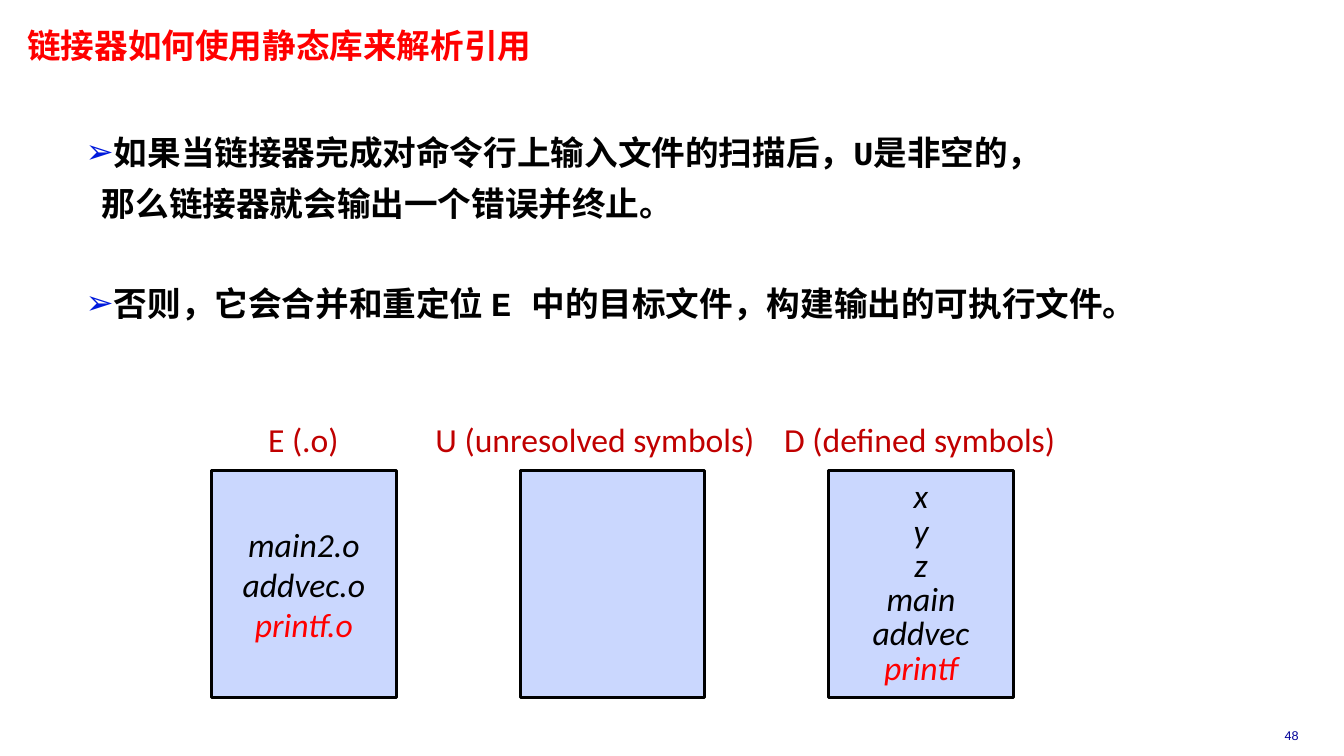
from lxml.etree import SubElement
from pptx import Presentation
from pptx.dml.color import RGBColor
from pptx.enum.shapes import MSO_SHAPE as Shape
from pptx.enum.text import MSO_ANCHOR as Anchor, MSO_AUTO_SIZE as AutoSize, PP_ALIGN as Align
from pptx.oxml.ns import qn
from pptx.util import Inches, Pt

RED = RGBColor(0xFF, 0x00, 0x00)
DARK_RED = RGBColor(0xC0, 0x00, 0x00)
BLACK = RGBColor(0x00, 0x00, 0x00)
NAVY = RGBColor(0x00, 0x00, 0x99)
PALE_BLUE = RGBColor(0xCA, 0xD7, 0xFE)
BULLET_BLUE = RGBColor(0x00, 0x1A, 0xDC)
CJK_FONT = "Noto Sans CJK SC"

TITLE = {"name": CJK_FONT, "size": Pt(24), "bold": True}
BODY = {"name": "Courier New", "size": Pt(24), "bold": True}
LABEL = {"name": "Calibri", "size": Pt(24)}
SYMBOL = {**LABEL, "italic": True}
NUMBER = {"name": "Arial", "size": Pt(9)}

COLUMN_PITCH = 3.06
SET_WIDTH, SET_HEIGHT = 1.83, 2.25
LABEL_HEIGHT = 0.44
SYMBOL_SETS = [
    ("E (.o)", 0.46, 0.91, ["main2.o", "addvec.o", "printf.o"], 1.0),
    ("U (unresolved symbols)", -0.94, 3.41, [], 1.0),
    ("D (defined symbols)", -0.54, 2.93, ["x", "y", "z", "main", "addvec", "printf"], 0.85),
]
BODY_LINES = [
    ("如果当链接器完成对命令行上输入文件的扫描后，U是非空的，", True, 0),
    ("那么链接器就会输出一个错误并终止。", False, 0),
    ("否则，它会合并和重定位 E 中的目标文件，构建输出的可执行文件。", True, 36),
]


def add_run(paragraph, text, color, font_format):
    """Add formatted text with an East Asian font."""
    run = paragraph.add_run()
    run.text = text
    for name, value in font_format.items():
        setattr(run.font, name, value)
    run.font.color.rgb = color
    SubElement(run.font._element, qn("a:ea"), typeface=CJK_FONT)


def add_frame(slide, box, **frame_format):
    """Add a text box and return its text frame."""
    frame = slide.shapes.add_textbox(*map(Inches, box)).text_frame
    for name, value in {"word_wrap": True, **frame_format}.items():
        setattr(frame, name, value)
    return frame


def next_paragraph(frame, index):
    """Return the first paragraph of a frame, or a new one after it."""
    return frame.add_paragraph() if index else frame.paragraphs[0]


def indent(paragraph, bulleted):
    """Give a body paragraph its margin and its arrow bullet."""
    properties = paragraph._p.get_or_add_pPr()
    properties.set("marL", str(Inches(0.55)))
    properties.set("indent", str(Inches(-0.16 if bulleted else 0)))
    if bulleted:
        color = SubElement(properties, qn("a:buClr"))
        SubElement(color, qn("a:srgbClr"), val=str(BULLET_BLUE))
        SubElement(properties, qn("a:buFont"), typeface="Arial")
        SubElement(properties, qn("a:buChar"), char="➢")


def add_title(slide, box):
    """Place the slide title."""
    frame = add_frame(slide, box, margin_left=Inches(0.22), margin_top=Inches(0.03),
                      margin_bottom=Inches(0.03), vertical_anchor=Anchor.MIDDLE)
    paragraph = frame.paragraphs[0]
    paragraph.line_spacing = 0.87
    add_run(paragraph, "链接器如何使用静态库来解析引用", RED, TITLE)


def add_body(slide, box):
    """Place the explanation with its bullets."""
    frame = add_frame(slide, box, margin_left=Inches(0.07), margin_right=Inches(0.07),
                      margin_top=Inches(0.03), margin_bottom=Inches(0.03))
    for index, (text, bulleted, gap) in enumerate(BODY_LINES):
        paragraph = next_paragraph(frame, index)
        paragraph.line_spacing = 1.25
        if gap:
            paragraph.space_before = Pt(gap)
        indent(paragraph, bulleted)
        add_run(paragraph, text, BLACK, BODY)


def add_symbol_set(slide, box, symbols, spacing):
    """Place one rectangle that lists its symbols, with printf in red."""
    shape = slide.shapes.add_shape(Shape.RECTANGLE, *map(Inches, box))
    shape.shadow.inherit = False
    shape.fill.solid()
    shape.fill.fore_color.rgb = PALE_BLUE
    shape.line.color.rgb = BLACK
    shape.line.width = Pt(2.25)
    shape.text_frame.vertical_anchor = Anchor.MIDDLE
    for index, symbol in enumerate(symbols):
        paragraph = next_paragraph(shape.text_frame, index)
        paragraph.alignment = Align.CENTER
        paragraph.line_spacing = spacing
        add_run(paragraph, symbol, RED if symbol.startswith("printf") else BLACK, SYMBOL)


def add_diagram(slide, left, top):
    """Place the three labelled symbol sets in equal columns."""
    for column, (label, offset, label_width, symbols, spacing) in enumerate(SYMBOL_SETS):
        x = left + column * COLUMN_PITCH
        add_symbol_set(slide, (x, top + 0.5, SET_WIDTH, SET_HEIGHT), symbols, spacing)
        frame = add_frame(slide, (x + offset, top, label_width, LABEL_HEIGHT),
                          word_wrap=False, auto_size=AutoSize.SHAPE_TO_FIT_TEXT)
        frame.paragraphs[0].line_spacing = 0.85
        add_run(frame.paragraphs[0], label, DARK_RED, LABEL)


def add_page_number(slide, box):
    """Place the page number."""
    paragraph = add_frame(slide, box).paragraphs[0]
    paragraph.alignment = Align.CENTER
    add_run(paragraph, "48", NAVY, NUMBER)


def main():
    """Build and save the slide."""
    presentation = Presentation()
    presentation.slide_width, presentation.slide_height = Inches(13.33), Inches(7.5)
    slide = presentation.slides.add_slide(presentation.slide_layouts[6])
    add_page_number(slide, (12.34, 7.17, 0.94, 0.25))
    add_title(slide, (0.05, 0.24, 7.95, 0.47))
    add_body(slide, (0.39, 1.18, 12.57, 5.96))
    add_diagram(slide, 2.1, 4.17)
    presentation.save("out.pptx")


if __name__ == "__main__":
    main()
